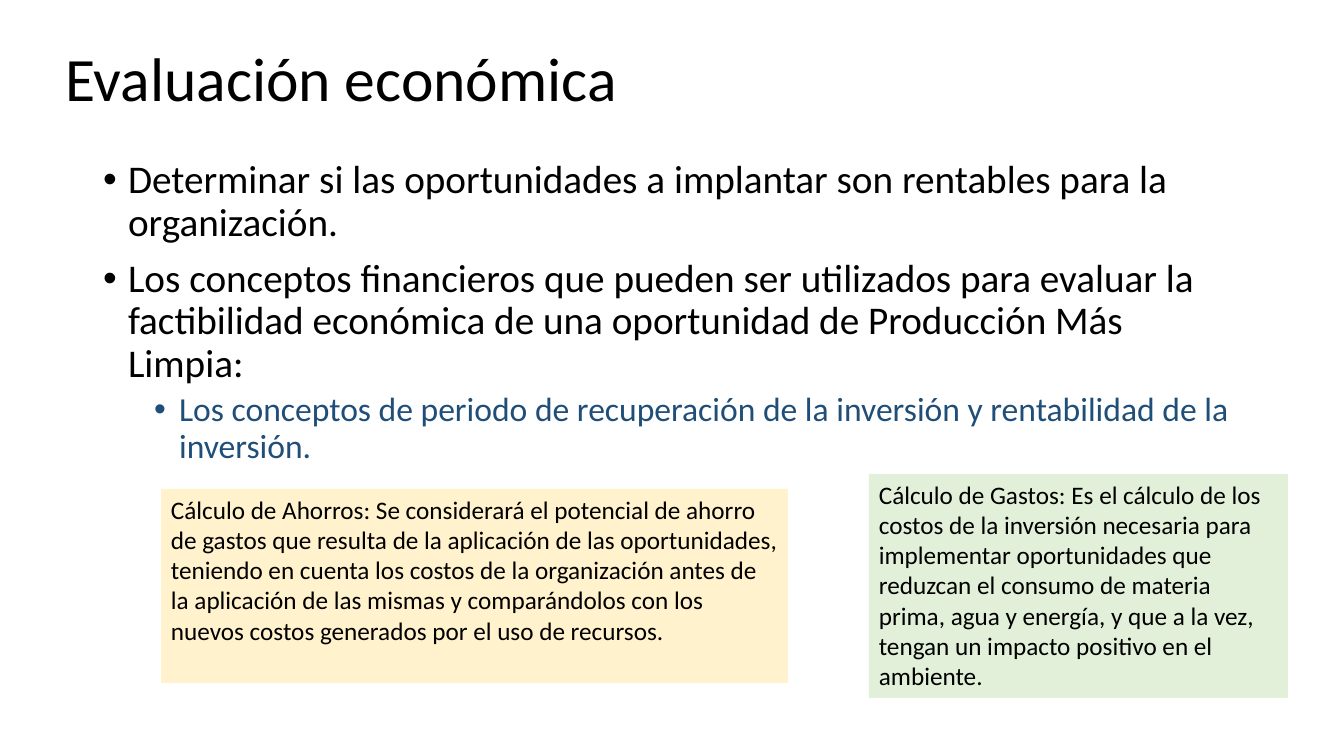
from lxml.etree import SubElement
from pptx import Presentation
from pptx.dml.color import RGBColor
from pptx.enum.shapes import MSO_SHAPE
from pptx.enum.text import MSO_ANCHOR, MSO_AUTO_SIZE, PP_ALIGN
from pptx.oxml.ns import qn
from pptx.util import Pt

SCALE = 914400 / 100.8
SIZE = (1344, 756)
FONT = "Calibri"
BLACK = "000000"

TITLE = ("Evaluación económica", (55, 9, 1159, 146))
BODY = (93, 155, 1159, 351)
ITEMS = [
    (0, "Determinar si las oportunidades a implantar son rentables para la organización."),
    (0, "Los conceptos financieros que pueden ser utilizados para evaluar la factibilidad económica de una oportunidad de Producción Más Limpia:"),
    (1, "Los conceptos de periodo de recuperación de la inversión y rentabilidad de la inversión."),
]
LEVELS = [
    {"size": 28, "color": BLACK, "left": 25, "before": 10},
    {"size": 24, "color": "1F4E79", "left": 76, "before": 5},
]
HANG = 25
NOTES = [
    ("Cálculo de Ahorros: Se considerará el potencial de ahorro de gastos que resulta de la aplicación de las oportunidades, teniendo en cuenta los costos de la organización antes de la aplicación de las mismas y comparándolos con los nuevos costos generados por el uso de recursos.",
     (161, 489, 627, 194), "FFF2CC"),
    ("Cálculo de Gastos: Es el cálculo de los costos de la inversión necesaria para implementar oportunidades que reduzcan el consumo de materia prima, agua y energía, y que a la vez, tengan un impacto positivo en el ambiente.",
     (869, 474, 419, 224), "E2F0D9"),
]


def px(n):
    return round(n * SCALE)


def rgb(code):
    return RGBColor.from_string(code)


def place(shape, box):
    shape.left, shape.top, shape.width, shape.height = map(px, box)


def style(para, size, color=BLACK):
    para.alignment = PP_ALIGN.LEFT
    para.font.name = FONT
    para.font.size = Pt(size)
    para.font.color.rgb = rgb(color)


def bullet(para, left):
    props = para._p.get_or_add_pPr()
    props.set("marL", str(px(left)))
    props.set("indent", str(-px(HANG)))
    SubElement(props, qn("a:buFont"), typeface="Arial")
    SubElement(props, qn("a:buChar"), char="•")


def add_title(slide):
    text, box = TITLE
    title = slide.shapes.title
    place(title, box)
    frame = title.text_frame
    frame.text = text
    frame.auto_size = MSO_AUTO_SIZE.NONE
    frame.vertical_anchor = MSO_ANCHOR.MIDDLE
    para = frame.paragraphs[0]
    para.line_spacing = 0.9
    style(para, 44)


def add_list(slide):
    body = slide.placeholders[1]
    place(body, BODY)
    frame = body.text_frame
    frame.text = "\n".join(text for _, text in ITEMS)
    frame.auto_size = MSO_AUTO_SIZE.NONE
    for i, (para, (level, _)) in enumerate(zip(frame.paragraphs, ITEMS)):
        look = LEVELS[level]
        para.level = level
        bullet(para, look["left"])
        para.line_spacing = 0.9
        para.space_before = Pt(look["before"] if i else 0)
        style(para, look["size"], look["color"])


def add_note(slide, text, box, fill):
    note = slide.shapes.add_shape(MSO_SHAPE.RECTANGLE, *map(px, box))
    note.shadow.inherit = False
    note.fill.solid()
    note.fill.fore_color.rgb = rgb(fill)
    note.line.fill.background()
    frame = note.text_frame
    frame.text = text
    frame.word_wrap = True
    frame.vertical_anchor = MSO_ANCHOR.TOP
    style(frame.paragraphs[0], 18)


def main():
    deck = Presentation()
    deck.slide_width, deck.slide_height = map(px, SIZE)
    slide = deck.slides.add_slide(deck.slide_layouts[1])
    add_title(slide)
    add_list(slide)
    for note in NOTES:
        add_note(slide, *note)
    deck.save("out.pptx")


if __name__ == "__main__":
    main()
